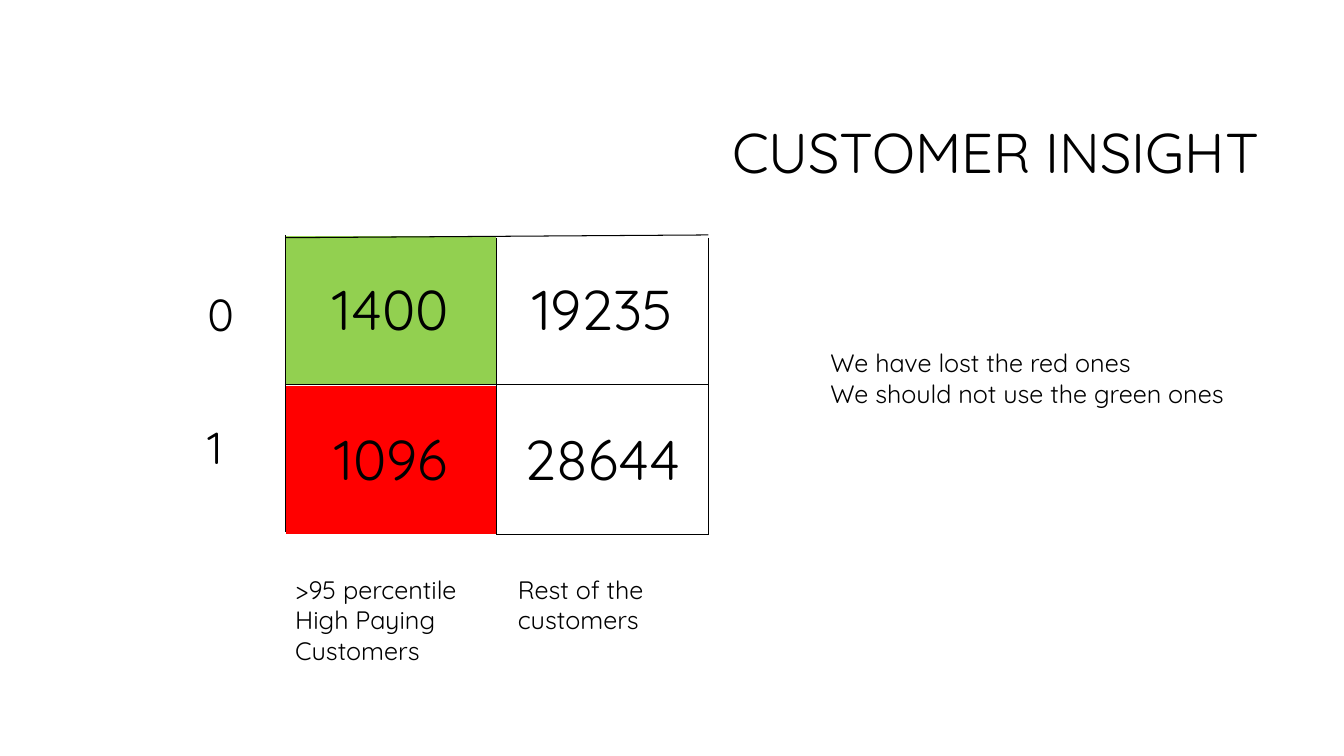
from dataclasses import dataclass

from lxml import etree
from pptx import Presentation
from pptx.dml.color import RGBColor
from pptx.enum.shapes import MSO_CONNECTOR
from pptx.enum.text import MSO_ANCHOR, MSO_AUTO_SIZE, PP_ALIGN
from pptx.oxml.ns import qn
from pptx.slide import Slide
from pptx.text.text import TextFrame
from pptx.util import Cm, Pt

BLACK = RGBColor(0, 0, 0)
WHITE = RGBColor(255, 255, 255)
GREEN = RGBColor(0x92, 0xD0, 0x50)
RED = RGBColor(255, 0, 0)
FONT = "Quicksand"
STRAIGHT = MSO_CONNECTOR.STRAIGHT
MIDDLE = MSO_ANCHOR.MIDDLE
FIT, FIXED = MSO_AUTO_SIZE.SHAPE_TO_FIT_TEXT, MSO_AUTO_SIZE.NONE
CENTER, RIGHT = PP_ALIGN.CENTER, PP_ALIGN.RIGHT

# Grid of the matrix, in cm
COL, ROW = 5.33, 3.78
LEFT, TOP = 7.19, 5.92
MID, END = LEFT + COL, LEFT + 2 * COL
HALF, BASE = TOP + ROW, TOP + 2 * ROW
DROP = 0.07


@dataclass
class Label:
    text: str
    left: float
    top: float
    width: float
    height: float
    size: int = 18
    wrap: bool = True


@dataclass
class Value:
    text: str
    fill: RGBColor


@dataclass
class Rule:
    x1: float
    y1: float
    x2: float
    y2: float


VALUES = [
    [Value("1400", GREEN), Value("19235", WHITE)],
    [Value("1096", RED), Value("28644", WHITE)],
]
LABELS = [
    Label("0", 4.98, 7.09, 1.14, 1.63, 32, False),
    Label("1", 4.98, 10.46, 1.14, 1.63, 32, False),
    Label(">95 percentile\nHigh Paying Customers", LEFT, 14.35, 5.05, 2.57),
    Label("Rest of the customers", 12.8, 14.35, 5.05, 1.8),
    Label("We have lost the red ones\nWe should not use the green ones",
          20.68, 8.64, 11.07, 1.8, wrap=False),
]
RULES = [
    Rule(LEFT, HALF, END, HALF),
    Rule(LEFT, TOP + DROP, END, TOP),
    Rule(MID, BASE, END, BASE),
    Rule(LEFT, TOP, LEFT, HALF - DROP),
    Rule(LEFT, HALF - DROP, LEFT, BASE - DROP),
]
for x in (MID, END):
    RULES += [Rule(x, TOP + DROP, x, HALF), Rule(x, HALF, x, BASE)]


def style(frame: TextFrame, size: int) -> None:
    for para in frame.paragraphs:
        for run in para.runs:
            run.font.name = FONT
            run.font.size = Pt(size)
            run.font.color.rgb = BLACK


def add_title(slide: Slide, text: str) -> None:
    title = slide.shapes.title
    title.left, title.top = Cm(8.05), Cm(2.13)
    title.width, title.height = Cm(23.93), Cm(3.58)
    frame = title.text_frame
    frame.text = text
    frame.auto_size = FIXED
    frame.vertical_anchor = MIDDLE
    frame.paragraphs[0].alignment = RIGHT
    frame.paragraphs[0].line_spacing = 0.9
    style(frame, 40)


def add_matrix(slide: Slide) -> None:
    table = slide.shapes.add_table(
        2, 2, Cm(LEFT), Cm(TOP), Cm(2 * COL), Cm(2 * ROW)).table
    table.first_row = table.horz_banding = False
    for r, row in enumerate(VALUES):
        for c, value in enumerate(row):
            cell = table.cell(r, c)
            cell.fill.solid()
            cell.fill.fore_color.rgb = value.fill
            cell.vertical_anchor = MIDDLE
            cell.text_frame.text = value.text
            para = cell.text_frame.paragraphs[0]
            para.alignment = CENTER
            style(cell.text_frame, 40)
            # Thin black outline on the digits
            props = para.runs[0].font._element
            line = etree.Element(qn("a:ln"), w=str(Pt(0.75)))
            fill = etree.SubElement(line, qn("a:solidFill"))
            etree.SubElement(fill, qn("a:srgbClr"), val=str(BLACK))
            props.insert(0, line)


def add_label(slide: Slide, label: Label) -> None:
    box = slide.shapes.add_textbox(
        Cm(label.left), Cm(label.top), Cm(label.width), Cm(label.height))
    frame = box.text_frame
    frame.text = label.text
    frame.word_wrap = label.wrap
    frame.auto_size = FIT
    style(frame, label.size)


def add_rule(slide: Slide, rule: Rule) -> None:
    line = slide.shapes.add_connector(
        STRAIGHT, Cm(rule.x1), Cm(rule.y1), Cm(rule.x2), Cm(rule.y2))
    line.line.color.rgb = BLACK
    line.line.width = Pt(0.75)
    etree.SubElement(line._element.spPr, qn("a:effectLst"))


def main() -> None:
    deck = Presentation()
    deck.slide_width, deck.slide_height = Cm(33.87), Cm(19.05)
    slide = deck.slides.add_slide(deck.slide_layouts.get_by_name("Title Only"))
    add_title(slide, "CUSTOMER INSIGHT")
    add_matrix(slide)
    for label in LABELS:
        add_label(slide, label)
    for rule in RULES:
        add_rule(slide, rule)
    deck.save("out.pptx")


if __name__ == "__main__":
    main()
